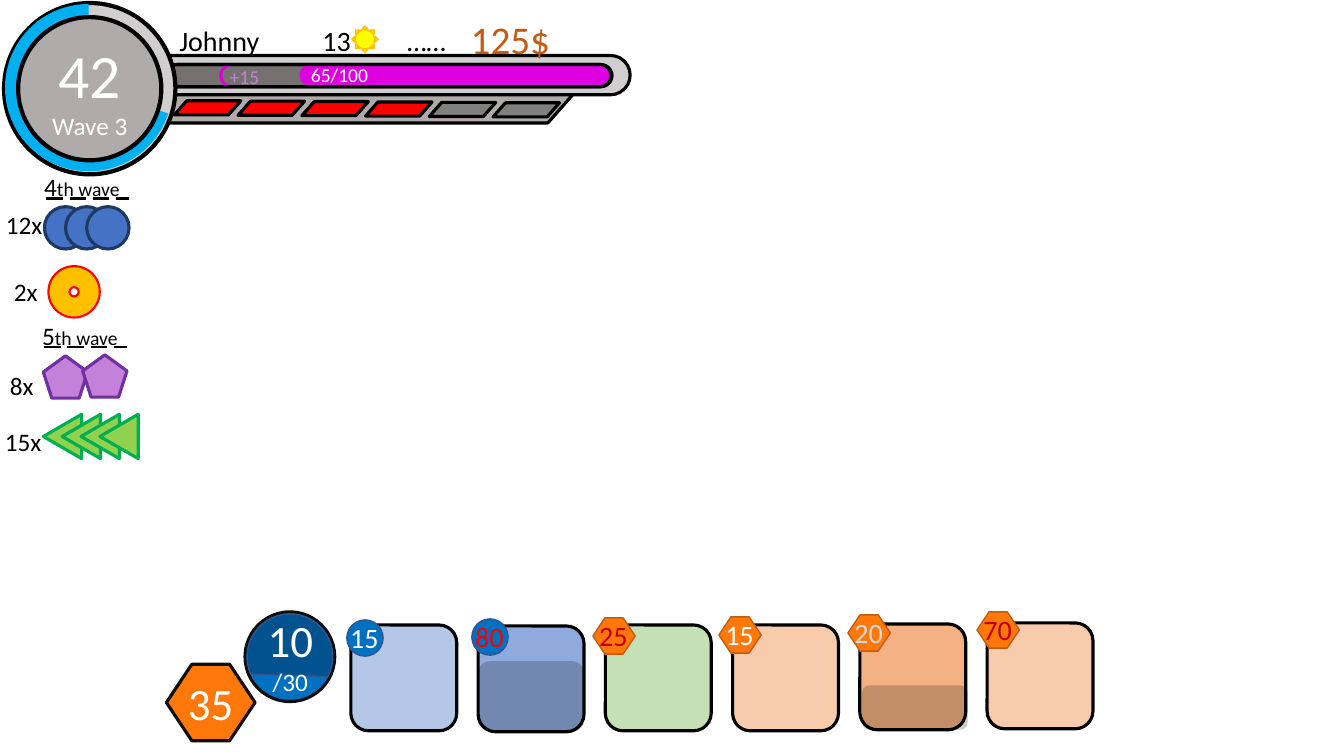
from dataclasses import dataclass

from lxml.etree import SubElement
from pptx import Presentation
from pptx.dml.color import RGBColor
from pptx.enum.dml import MSO_LINE
from pptx.enum.shapes import MSO_CONNECTOR, MSO_SHAPE
from pptx.enum.text import MSO_ANCHOR, MSO_AUTO_SIZE, PP_ALIGN
from pptx.oxml.ns import qn
from pptx.util import Inches, Pt


@dataclass(frozen=True)
class Theme:
    font: str = "Calibri"
    black: str = "000000"
    white: str = "FFFFFF"
    ink: str = "0D0D0D"
    silver: str = "D0CECE"
    pale_grey: str = "D9D9D9"
    grey: str = "AFABAB"
    dark_grey: str = "767171"
    empty_cell: str = "808080"
    red: str = "FF0000"
    dark_red: str = "C00000"
    magenta: str = "DE00DE"
    lilac: str = "C481D9"
    purple: str = "7030A0"
    sky: str = "00B0F0"
    blue: str = "0070C0"
    blue_edge: str = "325491"
    enemy_blue: str = "4472C4"
    navy: str = "203864"
    gold: str = "FFC000"
    yellow: str = "FFFF00"
    lime: str = "92D050"
    green: str = "00B050"
    orange: str = "FF7809"
    rust: str = "C55A11"
    card_blue: str = "B4C7E7"
    card_deep_blue: str = "8FAADC"
    card_green: str = "C5E0B4"
    card_peach: str = "F8CBAD"
    card_deep_peach: str = "F4B183"
    small: int = 14
    body: int = 18
    medium: int = 20
    large: int = 28
    counter: int = 32
    huge: int = 44


theme = Theme()
presentation = Presentation()
presentation.slide_width, presentation.slide_height = Inches(13.33), Inches(7.5)
slide = presentation.slides.add_slide(presentation.slide_layouts[6])


def add_figure(kind, box, fill=None, line=None, weight=2.25, adjust=(), opacity=None):
    """Add a preset shape; box is left, top, width, height in inches, opacity a percentage."""
    shape = slide.shapes.add_shape(kind, *map(Inches, box))
    shape.shadow.inherit = False
    for index, value in enumerate(adjust):
        shape.adjustments[index] = value
    if fill:
        shape.fill.solid()
        shape.fill.fore_color.rgb = RGBColor.from_string(fill)
    else:
        shape.fill.background()
    if opacity:
        color = shape._element.spPr.find(qn("a:solidFill"))[0]
        SubElement(color, qn("a:alpha")).set("val", str(opacity * 1000))
    if line:
        shape.line.color.rgb = RGBColor.from_string(line)
        shape.line.width = Pt(weight)
    else:
        shape.line.fill.background()
    return shape


def add_label(box, lines, color=theme.black, align=PP_ALIGN.LEFT, wrap=False, holder=None):
    """Write lines, each a list of (text, size) runs, in a new text box or in the holder shape."""
    frame = (holder or slide.shapes.add_textbox(*map(Inches, box))).text_frame
    frame.word_wrap = wrap
    if not holder:
        frame.auto_size = MSO_AUTO_SIZE.SHAPE_TO_FIT_TEXT
    for index, runs in enumerate(lines):
        paragraph = frame.add_paragraph() if index else frame.paragraphs[0]
        paragraph.alignment = align
        for text, size in runs:
            run = paragraph.add_run()
            run.text = text
            run.font.name, run.font.size = theme.font, Pt(size)
            run.font.color.rgb = RGBColor.from_string(color)
    return frame


# Health bar and armour cells
ROUND = (0.5,)
SLANT = (0.88,)
add_figure(MSO_SHAPE.ROUNDED_RECTANGLE, (1.5, 0.55, 4.75, 0.39), theme.silver, theme.black, adjust=ROUND)
add_figure(MSO_SHAPE.ROUNDED_RECTANGLE, (1.65, 0.64, 4.42, 0.22), theme.dark_grey, theme.black, adjust=ROUND)
add_figure(MSO_SHAPE.ROUNDED_RECTANGLE, (2.97, 0.64, 3.09, 0.21), theme.magenta, adjust=ROUND)
add_label((0.87, 0.58, 2.88, 0.34), [[("65/100", theme.small)]], theme.white, PP_ALIGN.RIGHT, True)
add_figure(MSO_SHAPE.ARC, (2.19, 0.64, 0.22, 0.22), line=theme.magenta, adjust=(52.25, 162))
add_figure(MSO_SHAPE.PARALLELOGRAM, (1.43, 0.94, 4.25, 0.28), theme.grey, theme.black, adjust=SLANT)
add_figure(MSO_SHAPE.ROUNDED_RECTANGLE, (1.64, 0.64, 4.42, 0.22), line=theme.black, adjust=ROUND)
for cell in reversed(range(6)):
    add_figure(MSO_SHAPE.PARALLELOGRAM, (1.73 + 0.632 * cell, 1 + 0.004 * cell, 0.66, 0.14),
               theme.red if cell < 4 else theme.empty_cell, theme.black, adjust=SLANT)
add_label((1.67, 0.59, 1, 0.34), [[("+15", theme.small)]], theme.lilac, PP_ALIGN.RIGHT, True)

# Wave dial
add_figure(MSO_SHAPE.OVAL, (0.04, 0.03, 1.7, 1.7), theme.silver, theme.black, 3)
add_figure(MSO_SHAPE.PIE, (0.05, 0.04, 1.66, 1.66), theme.sky, adjust=(10.81, 162))
dial = add_figure(MSO_SHAPE.OVAL, (0.18, 0.17, 1.42, 1.42), theme.grey, theme.black, 3)
dial_text = add_label(None, [[("42", theme.huge)], [("Wave 3", theme.body)]],
                      theme.white, PP_ALIGN.CENTER, True, dial)
dial_text.vertical_anchor = MSO_ANCHOR.MIDDLE

# Player line
player = add_label((1.68, 0.18, 3.34, 0.44), [[("Johnny\t13\t……", theme.medium)]], wrap=True)
tab_list = SubElement(player.paragraphs[0]._p.get_or_add_pPr(), qn("a:tabLst"))
for stop in (1.42, 2.26):
    tab = SubElement(tab_list, qn("a:tab"))
    tab.set("pos", str(Inches(stop)))
    tab.set("algn", "l")
add_figure(MSO_SHAPE.SUN, (3.49, 0.26, 0.26, 0.26), theme.yellow, theme.gold, 1, (0.125,))
add_label((4.57, 0.1, 1.12, 0.57), [[("125$", theme.large)]], theme.rust, wrap=True)

# Upcoming enemies
for enemy in range(3):
    add_figure(MSO_SHAPE.OVAL, (0.44 + 0.21 * enemy, 2.05, 0.42, 0.42), theme.enemy_blue, theme.navy)
add_figure(MSO_SHAPE.DONUT, (0.48, 2.64, 0.51, 0.51), theme.gold, theme.red, 1.5, (0.41,))
for enemy in range(2):
    add_figure(MSO_SHAPE.REGULAR_PENTAGON, (0.43 + 0.39 * enemy, 3.53 - 0.01 * enemy, 0.44, 0.42),
               theme.lilac, theme.purple)
for enemy in range(4):
    triangle = add_figure(MSO_SHAPE.ISOSCELES_TRIANGLE, (0.4 + 0.187 * enemy, 4.14, 0.44, 0.38),
                          theme.lime, theme.green)
    triangle.rotation = 270
for left, top, width, count in ((-0.04, 2.03, 0.57, "12x"), (0.04, 2.69, 0.44, "2x"),
                                (0, 3.62, 0.44, "8x"), (-0.05, 4.18, 0.57, "15x")):
    add_label((left, top, width, 0.4), [[(count, theme.body)]])

for left, top, rule_top, number in ((0.34, 1.65, 1.97, "4"), (0.32, 3.13, 3.44, "5")):
    rule = slide.shapes.add_connector(MSO_CONNECTOR.STRAIGHT, Inches(left + 0.12), Inches(rule_top),
                                      Inches(left + 0.94), Inches(rule_top))
    rule.line.color.rgb = RGBColor.from_string(theme.black)
    rule.line.width = Pt(1.5)
    rule.line.dash_style = MSO_LINE.LONG_DASH
    SubElement(rule._element.spPr, qn("a:effectLst"))
    add_label((left, top, 0.96, 0.4), [[(number, theme.body), ("th wave", theme.small)]])

# Cards: top, fill, badge left and top, cost, cost colour, shade offset and height
CARD_SIZE, CARD_PITCH = 1.05, 1.262
HEXAGON = (0.333,)
cards = (
    (6.2, theme.card_blue, 3.44, 6.15, "15", theme.white, None),
    (6.21, theme.card_deep_blue, 4.68, 6.14, "80", theme.red, (0, 0.7)),
    (6.2, theme.card_green, 5.88, 6.13, "25", theme.dark_red, None),
    (6.2, theme.card_peach, 7.13, 6.12, "15", theme.white, None),
    (6.19, theme.card_deep_peach, 8.41, 6.1, "20", theme.pale_grey, (0.02, 0.44)),
    (6.18, theme.card_peach, 9.69, 6.07, "70", theme.dark_red, None),
)
for column, (top, fill, badge_left, badge_top, cost, cost_color, shade) in enumerate(cards):
    left = 3.48 + CARD_PITCH * column
    add_figure(MSO_SHAPE.ROUNDED_RECTANGLE, (left, top, CARD_SIZE, CARD_SIZE), fill, theme.black)
    if shade:
        offset, height = shade
        add_figure(MSO_SHAPE.ROUNDED_RECTANGLE,
                   (left + offset, top + CARD_SIZE - height, CARD_SIZE, height), theme.black, opacity=20)
    if column < 2:
        badge_width = 0.36
        add_figure(MSO_SHAPE.OVAL, (badge_left, badge_top, badge_width, 0.36),
                   theme.blue, theme.blue_edge, 1)
    else:
        badge_width = 0.42
        add_figure(MSO_SHAPE.HEXAGON, (badge_left, badge_top, badge_width, 0.36),
                   theme.orange, theme.rust, 1, HEXAGON)
    add_label((badge_left + (badge_width - 0.49) / 2, badge_top - 0.04, 0.49, 0.44),
              [[(cost, theme.medium)]], cost_color)

# Resource counters
add_figure(MSO_SHAPE.OVAL, (2.43, 6.07, 0.89, 0.89), theme.blue, theme.ink)
level = add_figure(MSO_SHAPE.CHORD, (2.45, 6.09, 0.85, 0.85), theme.black, theme.blue_edge, 1,
                   (22.93, 162), 25)
level.rotation = 117.7
add_label((2.55, 6.03, 0.66, 0.94), [[("10", theme.counter)], [("/30", theme.body)]],
          theme.white, PP_ALIGN.CENTER)
add_figure(MSO_SHAPE.HEXAGON, (1.65, 6.59, 0.88, 0.76), theme.orange, theme.ink, adjust=HEXAGON)
add_label((1.73, 6.65, 0.72, 0.64), [[("35", theme.counter)]], theme.white, PP_ALIGN.CENTER, True)

presentation.save("out.pptx")
